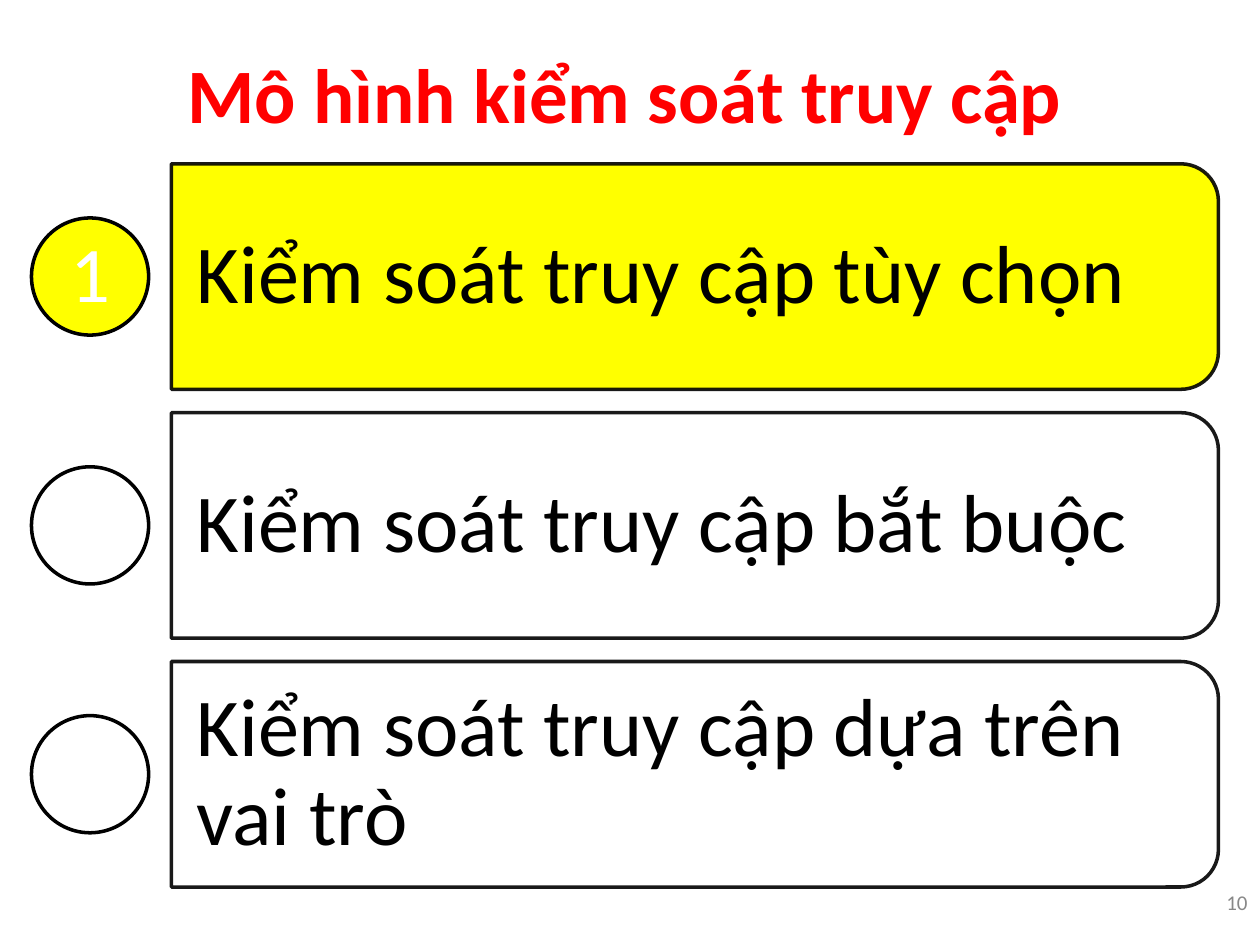
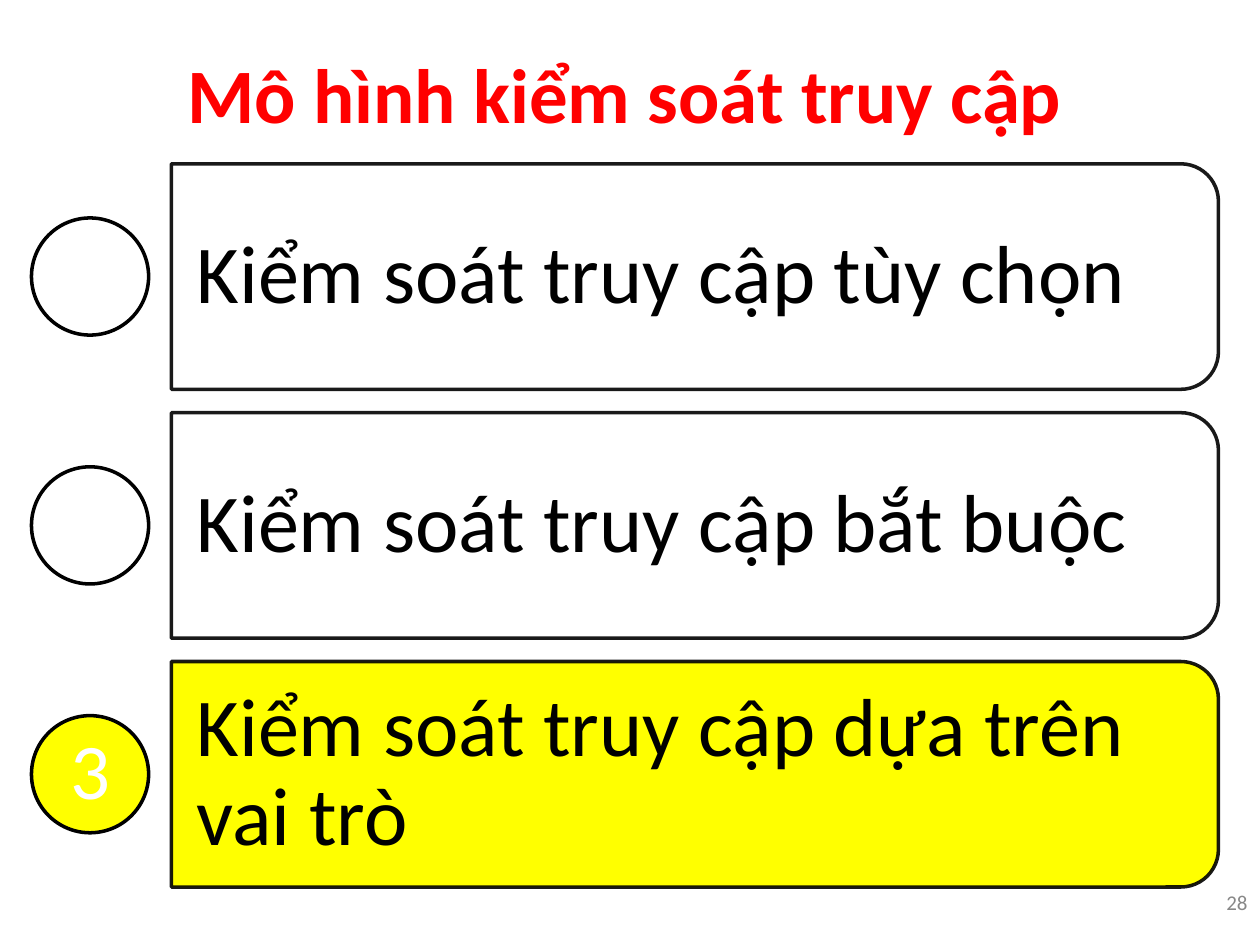
from dataclasses import dataclass

from lxml.etree import SubElement
from pptx import Presentation
from pptx.dml.color import RGBColor
from pptx.enum.shapes import MSO_SHAPE as Shape
from pptx.enum.text import MSO_ANCHOR as Anchor, PP_ALIGN as Align
from pptx.oxml.ns import qn
from pptx.shapes.autoshape import Shape as AutoShape
from pptx.slide import Slide
from pptx.util import Emu, Pt

EMU_PER_PX = 4572  # 200 px to the inch


@dataclass(frozen=True)
class TextStyle:
    size: int
    color: str
    align: Align = Align.LEFT
    bold: bool = False
    spacing: float = 1.0
    insets: tuple[int, int] = (20, 10)


@dataclass(frozen=True)
class Theme:
    font: str = "Calibri"
    active: str = "FFFF00"
    idle: str = "FFFFFF"
    outline: str = "000000"
    outline_width: int = 2
    bar_opacity: int = 90
    title: TextStyle = TextStyle(44, "FF0000", Align.CENTER, bold=True)
    label: TextStyle = TextStyle(47, "000000", spacing=0.9, insets=(40, 26))
    number: TextStyle = TextStyle(45, "FFFFFF", Align.CENTER, spacing=0.9, insets=(0, 0))
    page: TextStyle = TextStyle(12, "888888", Align.RIGHT)


@dataclass(frozen=True)
class Box:
    left: int
    top: int
    width: int
    height: int

    def emu(self) -> tuple[Emu, ...]:
        return tuple(px(v) for v in (self.left, self.top, self.width, self.height))

    def down(self, distance: int) -> "Box":
        return Box(self.left, self.top + distance, self.width, self.height)

    def before_quarter_turn(self) -> "Box":
        """The frame that covers this box once it is rotated by 90 degrees."""
        shift = (self.width - self.height) // 2
        return Box(self.left + shift, self.top - shift, self.height, self.width)


@dataclass(frozen=True)
class ModelSlide:
    active: int
    page: int


THEME = Theme()
TITLE = "Mô hình kiểm soát truy cập"
MODELS = (
    "Kiểm soát truy cập tùy chọn",
    "Kiểm soát truy cập bắt buộc",
    "Kiểm soát truy cập dựa trên vai trò",
)
SLIDES = (ModelSlide(active=1, page=10), ModelSlide(active=3, page=28))

TITLE_BOX = Box(50, 60, 1884, 174)
PAGE_BOX = Box(1866, 1364, 134, 136)
BAR = Box(272, 260, 1662, 358)
LABEL = Box(272, 278, 1644, 322)
CIRCLE = Box(50, 346, 186, 186)
ROW_PITCH = 395


def px(value: int) -> Emu:
    return Emu(value * EMU_PER_PX)


def rgb(color: str) -> RGBColor:
    return RGBColor.from_string(color)


def write(s: AutoShape, text: str, style: TextStyle) -> None:
    tf = s.text_frame
    tf.word_wrap = True
    tf.vertical_anchor = Anchor.MIDDLE
    side, edge = style.insets
    tf.margin_left = tf.margin_right = px(side)
    tf.margin_top = tf.margin_bottom = px(edge)
    p = tf.paragraphs[0]
    p.text = text
    p.alignment = style.align
    p.line_spacing = style.spacing
    p.font.name = THEME.font
    p.font.size = Pt(style.size)
    p.font.bold = style.bold
    p.font.color.rgb = rgb(style.color)


def add_text(slide: Slide, box: Box, text: str, style: TextStyle) -> None:
    write(slide.shapes.add_textbox(*box.emu()), text, style)


def add_outlined(slide: Slide, kind: Shape, box: Box, fill: str) -> AutoShape:
    s = slide.shapes.add_shape(kind, *box.emu())
    s.shadow.inherit = False
    s.fill.solid()
    s.fill.fore_color.rgb = rgb(fill)
    s.line.color.rgb = rgb(THEME.outline)
    s.line.width = Pt(THEME.outline_width)
    return s


def add_bar(slide: Slide, box: Box, fill: str) -> None:
    """Bar with rounded right corners and a slightly transparent outline."""
    s = add_outlined(slide, Shape.ROUND_2_SAME_RECTANGLE, box.before_quarter_turn(), fill)
    s.rotation = 90
    s.adjustments[0] = 0.167
    s.adjustments[1] = 0
    color = s.line._get_or_add_ln().find(f".//{qn('a:srgbClr')}")
    SubElement(color, qn("a:alpha"), val=str(THEME.bar_opacity * 1000))


def add_model(slide: Slide, number: int, label: str, active: bool) -> None:
    drop = (number - 1) * ROW_PITCH
    fill = THEME.active if active else THEME.idle
    add_bar(slide, BAR.down(drop), fill)
    add_text(slide, LABEL.down(drop), label, THEME.label)
    circle = add_outlined(slide, Shape.OVAL, CIRCLE.down(drop), fill)
    if active:
        write(circle, str(number), THEME.number)


def build_slide(prs: Presentation, content: ModelSlide) -> None:
    slide = prs.slides.add_slide(prs.slide_layouts[6])
    for number, label in enumerate(MODELS, start=1):
        add_model(slide, number, label, number == content.active)
    add_text(slide, TITLE_BOX, TITLE, THEME.title)
    add_text(slide, PAGE_BOX, str(content.page), THEME.page)


def main() -> None:
    prs = Presentation()
    prs.slide_width, prs.slide_height = px(2000), px(1500)
    for content in SLIDES:
        build_slide(prs, content)
    prs.save("out.pptx")


if __name__ == "__main__":
    main()
